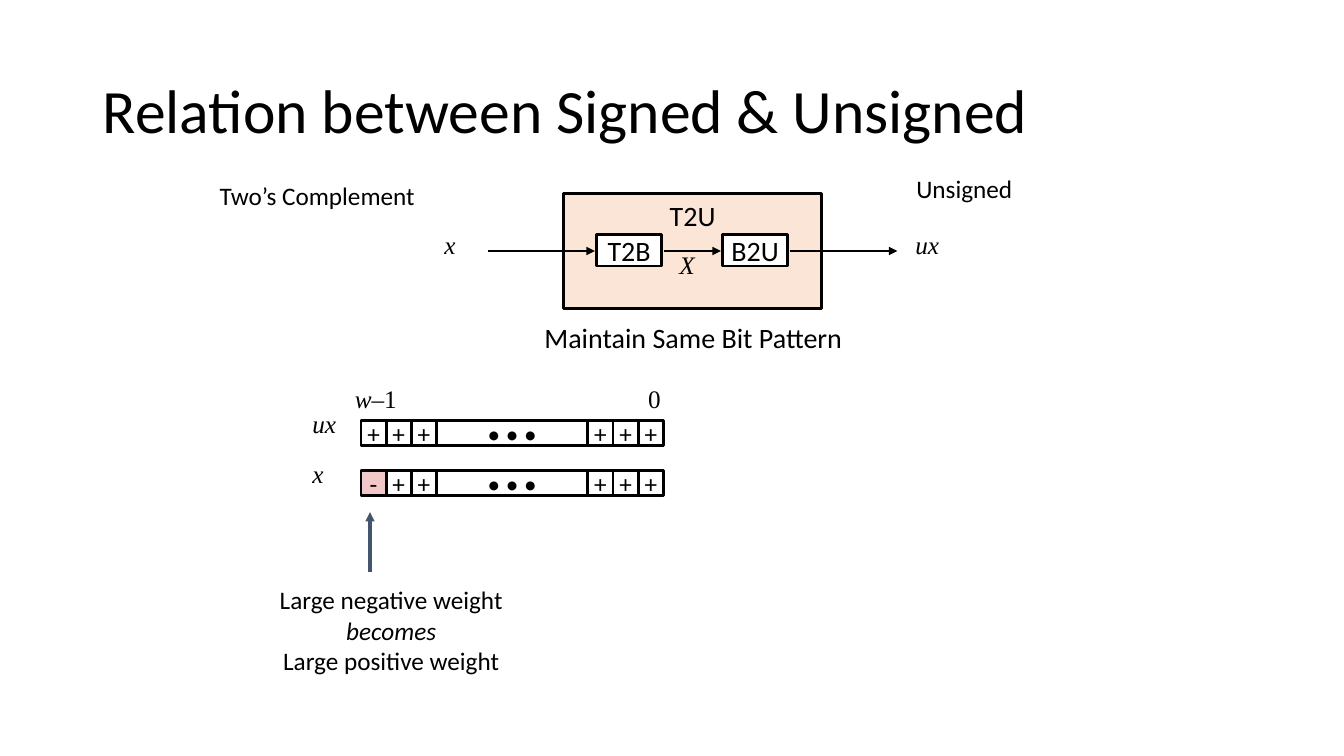
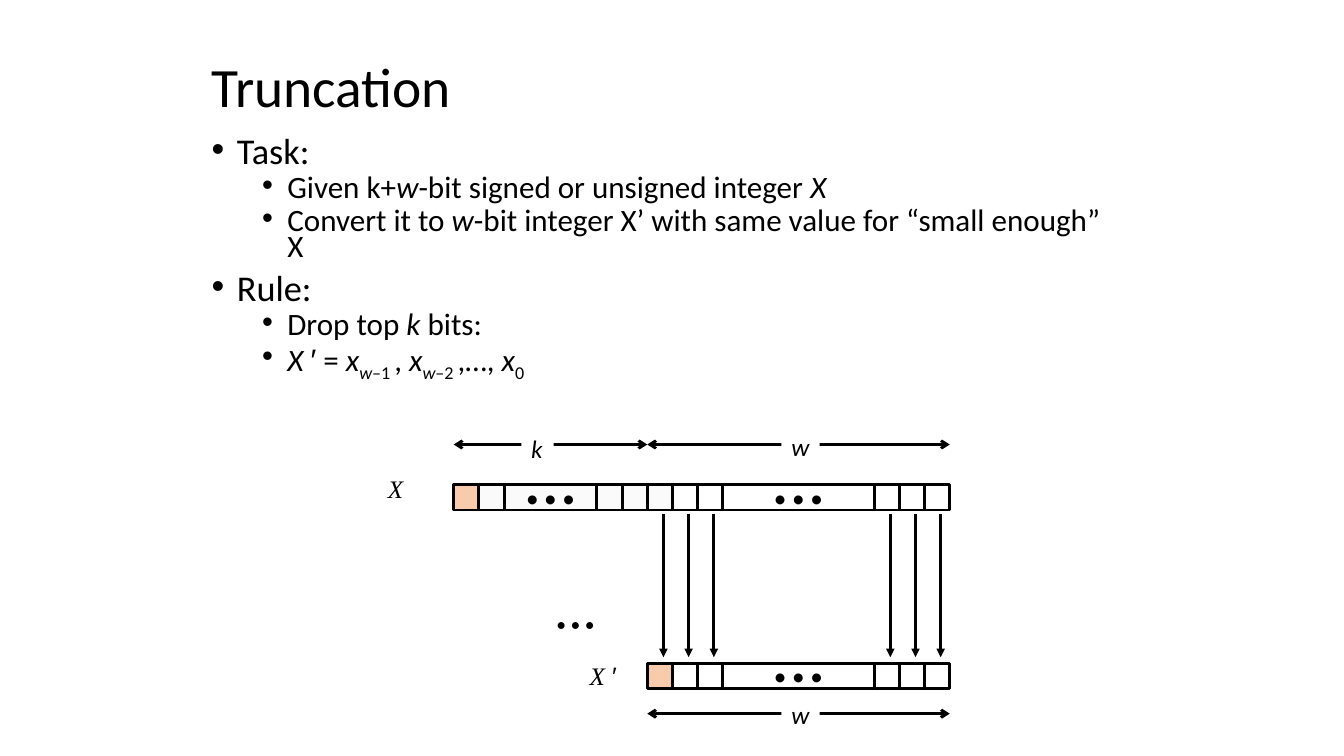
"""Build two slides on signed and unsigned integers and on truncation."""
from dataclasses import dataclass
from lxml.etree import SubElement
from pptx import Presentation
from pptx.dml.color import RGBColor
from pptx.enum.shapes import MSO_CONNECTOR, MSO_SHAPE
from pptx.enum.text import MSO_ANCHOR, MSO_AUTO_SIZE, PP_ALIGN
from pptx.oxml.ns import qn
from pptx.util import Inches, Pt


@dataclass(frozen=True)
class Theme:
    ink: str = "000000"
    paper: str = "FFFFFF"
    pale: str = "FAFAFA"
    peach: str = "FBE5D6"
    coral: str = "F8CBAD"
    pink: str = "F1C7C7"
    slate: str = "44546A"
    sans: str = "Calibri"
    serif: str = "Times New Roman"
    prime: str = "Arial"
    title: float = 44
    small: float = 39.6
    levels: tuple = (25.9, 22.2)
    label: float = 20
    text: float = 18
    dots: float = 14
    rule: float = 2
    bold: float = 2.25


look = Theme()
LEFT, MID = PP_ALIGN.LEFT, PP_ALIGN.CENTER
TOP, CORE = MSO_ANCHOR.TOP, MSO_ANCHOR.MIDDLE
GROW, FIXED = MSO_AUTO_SIZE.SHAPE_TO_FIT_TEXT, MSO_AUTO_SIZE.NONE
DOTS = "•\u00a0•\u00a0•"


def write(shape, *lines, size=look.text, font=look.sans, style="", align=LEFT,
          anchor=TOP, fit=FIXED, wrap=False, fill=None, edge=None, inset=0.1):
    """Each line is a string or a list of strings and (text, style) pairs."""
    frame = shape.text_frame
    frame.word_wrap, frame.auto_size = wrap, fit
    frame.vertical_anchor = anchor
    frame.margin_left = frame.margin_right = Inches(inset)
    frame.margin_top = frame.margin_bottom = Inches(0.05)
    if fill:
        shape.shadow.inherit = False
        shape.fill.solid()
        shape.fill.fore_color.rgb = RGBColor.from_string(fill)
    if edge:
        shape.line.color.rgb = RGBColor.from_string(edge)
        shape.line.width = Pt(look.rule)
    for n, line in enumerate(lines):
        para = frame.add_paragraph() if n else frame.paragraphs[0]
        para.alignment = align
        for part in [line] if isinstance(line, str) else line:
            text, mark = (part, style) if isinstance(part, str) else part
            run = para.add_run()
            run.text = text
            run.font.size = Pt(size)
            run.font.name = look.prime if "p" in mark else font
            run.font.italic = "i" in mark
            run.font.color.rgb = RGBColor.from_string(look.ink)
            if "s" in mark:
                run._r.get_or_add_rPr().set("baseline", "-25000")
    return frame


def link(slide, x, y, end, low, color=look.ink, width=look.rule, head=None, tail="triangle"):
    line = slide.shapes.add_connector(MSO_CONNECTOR.STRAIGHT, *map(Inches, (x, y, end, low)))
    line.line.color.rgb = RGBColor.from_string(color)
    line.line.width = Pt(width)
    form = line._element.spPr
    for tag, kind in (("a:headEnd", head), ("a:tailEnd", tail)):
        if kind:
            SubElement(form.find(qn("a:ln")), qn(tag), type=kind)
    SubElement(form, qn("a:effectLst"))


deck = Presentation()
deck.slide_width, deck.slide_height = Inches(13.33), Inches(7.5)
one = deck.slides.add_slide(deck.slide_layouts[5])
two = deck.slides.add_slide(deck.slide_layouts[1])

for slide, text, size, box in (
    (one, "Relation between Signed & Unsigned", look.title, (0.92, 0.4, 11.5, 1.45)),
    (two, "Truncation", look.small, (2, 0.58, 6.68, 0.61)),
):
    title = slide.shapes.title
    title.left, title.top, title.width, title.height = map(Inches, box)
    frame = write(title, text, size=size, anchor=CORE, wrap=True)
    frame.paragraphs[0].line_spacing = 0.9

body = two.placeholders[1]
body.left, body.top, body.width, body.height = map(Inches, (2, 1.34, 9.07, 2.58))
frame = write(
    body,
    "Task:",
    ["Given k+", ("w", "i"), "-bit signed or unsigned integer ", ("X", "i")],
    ["Convert it to ", ("w", "i"),
     "-bit integer X’ with same value for “small enough” X"],
    "Rule:",
    ["Drop top ", ("k", "i"), " bits:"],
    [("X ", "i"), ("′", "p"), " = ", ("x", "i"), ("w", "is"), ("–1 ", "s"), ", ",
     ("x", "i"), ("w", "is"), ("–2 ", "s"), ",…, ", ("x", "i"), ("0", "s")],
    wrap=True)
for para, level in zip(frame.paragraphs, (0, 1, 1) * 2):
    para.level = level
    para.line_spacing = 0.7
    para.space_before = Pt((10, 5)[level])
    for run in para.runs:
        run.font.size = Pt(look.levels[level])
    form = para._p.get_or_add_pPr()
    form.set("marL", str(Inches(0.25 + 0.5 * level)))
    form.set("indent", str(Inches(-0.25)))
    SubElement(form, qn("a:buFont"), typeface=look.prime)
    SubElement(form, qn("a:buChar"), char="•")

CELL, WIDE = 0.25, 1.5
plus = (CELL, "+", look.paper)
blank = (CELL, "", look.paper)
gray = (CELL, "", look.pale)
first = (CELL, "", look.coral)
gap = (WIDE, DOTS, look.paper)
rows = (
    (one, 3.58, 4.17, [plus] * 3 + [gap] + [plus] * 3),
    (one, 3.58, 4.67, [(CELL, "-", look.pink)] + [plus] * 2 + [gap] + [plus] * 3),
    (two, 4.5, 4.81, [first, gray, (0.92, DOTS, look.pale)] + [gray] * 3
     + [blank] * 2 + [gap] + [blank] * 3),
    (two, 6.42, 6.58, [first] + [blank] * 2 + [gap] + [blank] * 3),
)
for slide, x, y, cells in rows:
    row = slide.shapes.add_group_shape()
    for width, mark, fill in cells:
        cell = row.shapes.add_shape(MSO_SHAPE.RECTANGLE, *map(Inches, (x, y, width, CELL)))
        write(cell, *filter(None, [mark]), align=MID, anchor=CORE, fill=fill, edge=look.ink)
        x += width

for text, box, fill, anchor in (
    ("T2U", (5.59, 1.92, 2.56, 1.14), look.peach, TOP),
    ("T2B", (5.92, 2.33, 0.64, 0.31), look.paper, CORE),
    ("B2U", (7.17, 2.33, 0.64, 0.31), look.paper, CORE),
):
    block = one.shapes.add_shape(MSO_SHAPE.RECTANGLE, *map(Inches, box))
    write(block, text, size=look.label, align=MID, anchor=anchor, fill=fill, edge=look.ink)

for x, end in ((4.84, 5.9), (6.59, 7.15), (7.84, 8.9)):
    link(one, x, 2.49, end, 2.49)
link(one, 3.67, 5.67, 3.67, 5.08, color=look.slate, width=look.bold)

for start in (6.58, 8.83):
    for n in range(3):
        x = start + n * CELL
        link(two, x, 5.1, x, 6.52)
for x, end, y in ((6.42, 9.42, 4.41), (4.5, 6.42, 4.41), (6.42, 9.42, 7.08)):
    link(two, x, y, end, y, head="arrow", tail="arrow")

math = dict(font=look.serif, style="i")
span = dict(style="i", fill=look.paper)
large = dict(size=look.label)
for slide, lines, box, form in (
    (one, ["Two’s Complement"], (2.08, 1.74, 2.16, 0.4), {}),
    (one, ["Unsigned"], (8.99, 1.67, 1.16, 0.4), {}),
    (one, ["Maintain Same Bit Pattern"], (5.3, 3.13, 3.19, 0.43), large),
    (one, ["x"], (4.31, 2.23, 0.31, 0.4), math),
    (one, ["ux"], (8.98, 2.23, 0.44, 0.4), math),
    (one, ["X"], (6.64, 2.42, 0.35, 0.4), math),
    (one, ["ux"], (3, 4, 0.44, 0.4), math),
    (one, ["x"], (3, 4.5, 0.31, 0.4), math),
    (one, [["w", ("–1", "")]], (3.42, 3.75, 0.62, 0.4), math),
    (one, [[("0", "")]], (6.33, 3.75, 0.33, 0.4), math),
    (one, ["Large negative weight", [("becomes", "i")], "Large positive weight"],
     (2.71, 5.75, 2.34, 1.01), dict(align=MID, inset=0.05)),
    (two, ["X"], (3.75, 4.65, 0.36, 0.4), math),
    (two, [["X", (" ′ ", "p")]], (5.75, 6.5, 0.55, 0.4), math),
    (two, [DOTS], (5.42, 6.02, 0.58, 0.34), dict(size=look.dots)),
    (two, ["k"], (5.17, 4.25, 0.32, 0.4), span),
    (two, ["w"], (7.75, 4.23, 0.38, 0.4), span),
    (two, ["w"], (7.75, 6.89, 0.38, 0.4), span),
):
    write(slide.shapes.add_textbox(*map(Inches, box)), *lines, fit=GROW, **form)

deck.save("out.pptx")
